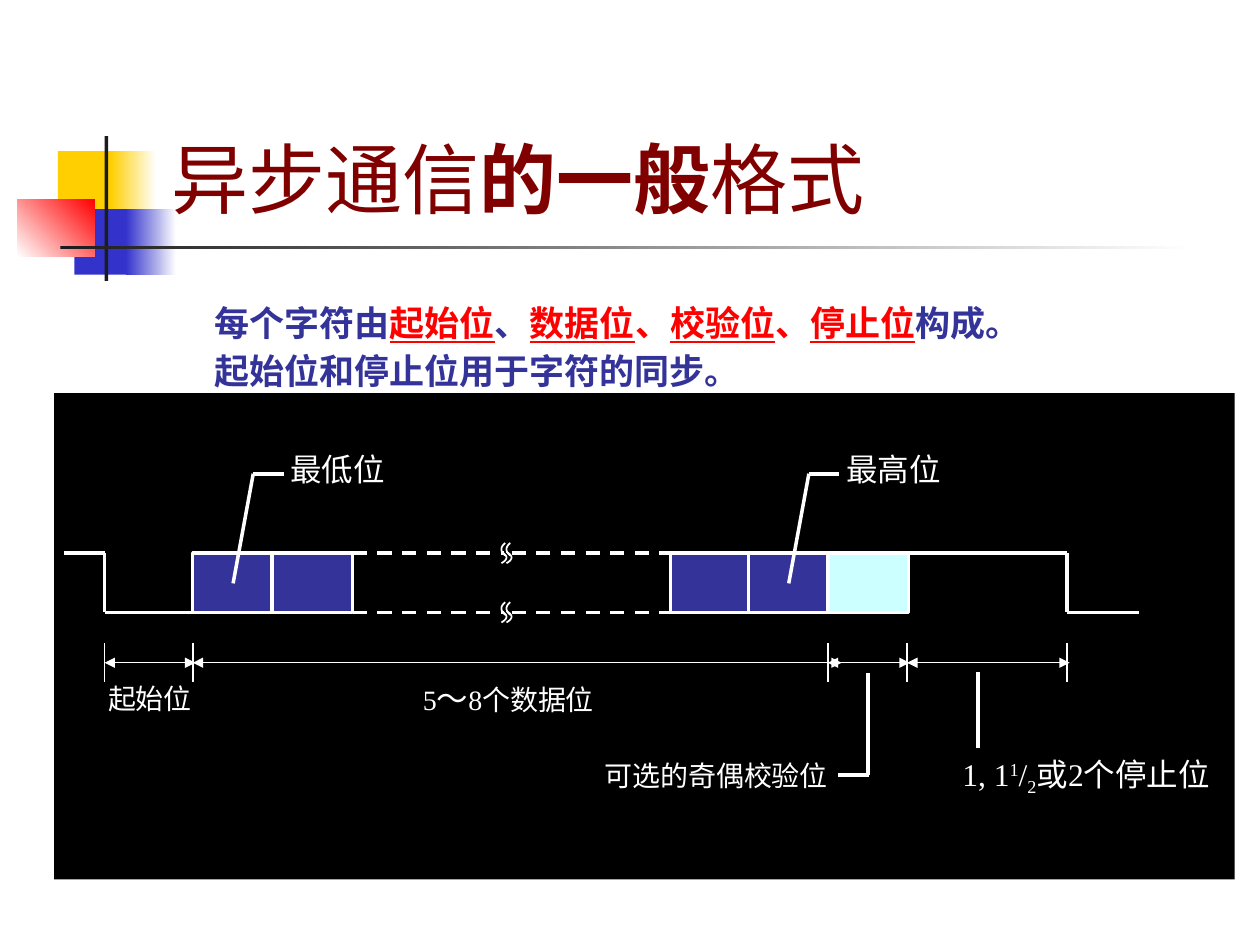
from lxml import etree
from pptx import Presentation
from pptx.dml.color import RGBColor
from pptx.enum.dml import MSO_LINE
from pptx.enum.shapes import MSO_CONNECTOR, MSO_SHAPE
from pptx.enum.text import MSO_ANCHOR, PP_ALIGN
from pptx.oxml.ns import qn
from pptx.util import Inches, Pt

RECT, LINE, DASH = MSO_SHAPE.RECTANGLE, MSO_CONNECTOR.STRAIGHT, MSO_LINE.DASH
LEFT, CENTER = PP_ALIGN.LEFT, PP_ALIGN.CENTER
TOP, BOTTOM = MSO_ANCHOR.TOP, MSO_ANCHOR.BOTTOM

COLORS = {
    "white": "FFFFFF", "black": "000000", "yellow": "FFCF01", "blue": "3333CC",
    "red": "FF0000", "dark": "1C1C1C", "maroon": "800000", "navy": "333399",
    "cyan": "CCFFFF",
}

# Content: runs are (text, style)
TITLE = [("异步通信", {}), ("的一般", {"bold": True}), ("格式", {})]
KEY = {"color": "red", "underline": True}
RED = {"color": "red"}
BODY = [
    [("每个字符由", {}), ("起始位", KEY), ("、", {}), ("数据位", KEY), ("、", RED),
     ("校验位", KEY), ("、", RED), ("停止位", KEY), ("构成。", {})],
    [("起始位和停止位用于字符的同步。", {})],
]
LABELS = [  # left, top, width, height, size, runs
    (0.83, 5.36, 0.72, 0.37, 16, [("起始位", {})]),
    (2.24, 3.52, 0.88, 0.40, 18, [("最低位", {})]),
    (6.65, 3.52, 0.88, 0.40, 18, [("最高位", {})]),
    (3.27, 5.34, 1.53, 0.40, 16, [("5", {}), ("～", {"size": 18}), ("8个数据位", {})]),
    (4.76, 5.97, 1.85, 0.37, 16, [("可选的奇偶校验位", {})]),
    (7.52, 5.94, 2.20, 0.44, 18, [("1, 1", {}), ("1", {"base": 30}), ("/", {}),
                                  ("2", {"base": -25}), ("或2个停止位", {})]),
]

# Template ornament: left, top, width, height, colours, angle
DECOR = [
    (0.46, 1.20, 0.48, 0.52, ["yellow"], 0),
    (0.88, 1.20, 0.36, 0.52, ["yellow", "white"], 0),
    (0.59, 1.66, 0.46, 0.52, ["blue"], 0),
    (1.00, 1.66, 0.40, 0.52, ["blue", "white"], 0),
    (0.14, 1.58, 0.61, 0.46, ["white", "red"], 45),
    (0.83, 1.08, 0.03, 1.15, ["dark"], 0),
    (0.48, 1.95, 9.00, 0.03, ["dark", "white"], 0),
]

# Signal geometry
HIGH, LOW, SPAN = 4.39, 4.86, 5.26
BITS = [(1.53, "navy"), (2.16, "navy"), (5.32, "navy"), (5.94, "navy"), (6.57, "cyan")]
TICKS = [0.83, 1.53, 6.57, 7.2, 8.47]
ENDS = [1.55, 6.68, 7.22, 8.49]
SIGNAL = [
    (0.51, HIGH, 0.83, HIGH), (0.83, HIGH, 0.83, LOW), (0.83, LOW, 1.53, LOW),
    (7.2, HIGH, 8.47, HIGH), (8.47, HIGH, 8.47, LOW), (8.47, LOW, 9.04, LOW),
]
LEADERS = [(7.76, 5.94, 7.76, 5.33), (6.89, 6.15, 6.89, 5.34), (6.65, 6.15, 6.9, 6.15)]


def rgb(name):
    return RGBColor.from_string(COLORS[name])


def block(x, y, w, h, names, angle=0, edge=None):
    box = shapes.add_shape(RECT, Inches(x), Inches(y), Inches(w), Inches(h))
    box.shadow.inherit = False
    if len(names) == 1:
        box.fill.solid()
        box.fill.fore_color.rgb = rgb(names[0])
    else:
        box.fill.gradient()
        box.fill.gradient_angle = angle
        for stop, name, pos in zip(box.fill.gradient_stops, names, (0, 1)):
            stop.color.rgb = rgb(name)
            stop.position = pos
    if edge:
        box.line.color.rgb = rgb("white")
        box.line.width = Pt(edge)
    else:
        box.line.fill.background()


def stroke(x1, y1, x2, y2, width=2, dash=None, arrows=False):
    wire = shapes.add_connector(LINE, Inches(x1), Inches(y1), Inches(x2), Inches(y2))
    wire.line.color.rgb = rgb("white")
    wire.line.width = Pt(width)
    if dash:
        wire.line.dash_style = dash
    if arrows:
        for tag in ("a:headEnd", "a:tailEnd"):
            etree.SubElement(wire.line._get_or_add_ln(), qn(tag), type="triangle")
    etree.SubElement(wire.element.spPr, qn("a:effectLst"))


def curve(x, y, bend, height):
    """Draw a shallow arc that bulges sideways by bend."""
    steps = [n / 12 for n in range(13)]
    dots = [(Inches(x + bend * (1 - (2 * t - 1) ** 2)), Inches(y + height * t))
            for t in steps]
    pen = shapes.build_freeform(*dots[0])
    pen.add_line_segments(dots[1:], close=False)
    arc = pen.convert_to_shape()
    arc.shadow.inherit = False
    arc.fill.background()
    arc.line.color.rgb = rgb("white")
    arc.line.width = Pt(1)


def write(para, runs, font, size, color):
    for text, style in runs:
        run = para.add_run()
        run.text = text
        run.font.name = font
        run.font.size = Pt(style.get("size", size))
        run.font.bold = style.get("bold", False)
        run.font.underline = style.get("underline", False)
        run.font.color.rgb = rgb(style.get("color", color))
        if "base" in style:
            run.font._element.set("baseline", str(style["base"] * 1000))


def place(box, x, y, w, h):
    box.left, box.top, box.width, box.height = map(Inches, (x, y, w, h))
    shapes.element.append(box.element)


prs = Presentation()
prs.slide_width, prs.slide_height = Inches(10), Inches(7.5)
slide = prs.slides.add_slide(prs.slide_layouts[1])
shapes = slide.shapes
title, body = shapes.title, slide.placeholders[1]

# Ornament, then the placeholders above it
for part in DECOR:
    block(*part)
place(title, 1.26, 0.23, 8.52, 1.6)
place(body, 1.6, 2.31, 7.88, 0.86)

title.text_frame.vertical_anchor = BOTTOM
head = title.text_frame.paragraphs[0]
head.alignment = LEFT
write(head, TITLE, "Karla", 44, "maroon")

frame = body.text_frame
frame.vertical_anchor = TOP
for i, runs in enumerate(BODY):
    para = frame.add_paragraph() if i else frame.paragraphs[0]
    props = para._p.get_or_add_pPr()
    props.set("marL", "0")
    props.set("indent", "0")
    etree.SubElement(props, qn("a:buNone"))
    para.line_spacing = 1.1
    para.space_before, para.space_after = Pt(0), Pt(1.2)
    write(para, [(t, {"bold": True, **s}) for t, s in runs], "Karla", 20, "navy")

# Diagram panel and bit cells
block(0.43, 3.12, 9.37, 3.86, ["black"])
for x, name in BITS:
    block(x, HIGH, 0.64, 0.47, [name], edge=2)

# Signal, with the omitted bits dashed and broken
for ends in SIGNAL + LEADERS:
    stroke(*ends)
for y in (HIGH, LOW):
    stroke(2.8, y, 4, y, dash=DASH)
    stroke(4.06, y, 5.34, y, dash=DASH)
    for shift in (0, 0.04):
        curve(4.01 + shift, y - 0.08, -0.03, 0.1)
        curve(3.98 + shift, y - 0.01, 0.04, 0.09)

# Leaders to the lowest and highest bits
for x in (1.85, 6.26):
    stroke(x, 4.63, x + 0.16, 3.76)
    stroke(x + 0.16, 3.76, x + 0.4, 3.76)

# Dimension lines
for x in TICKS:
    stroke(x, 5.41, x, 5.1, width=1)
for start, end in zip(TICKS, ENDS):
    stroke(start, SPAN, end, SPAN, width=0.75, arrows=True)

# Labels
for x, y, w, h, size, runs in LABELS:
    box = shapes.add_textbox(Inches(x), Inches(y), Inches(w), Inches(h))
    frame = box.text_frame
    frame.margin_left = frame.margin_right = 0
    frame.word_wrap = False
    para = frame.paragraphs[0]
    para.alignment = CENTER
    write(para, runs, "Times New Roman", size, "white")

prs.save("out.pptx")
